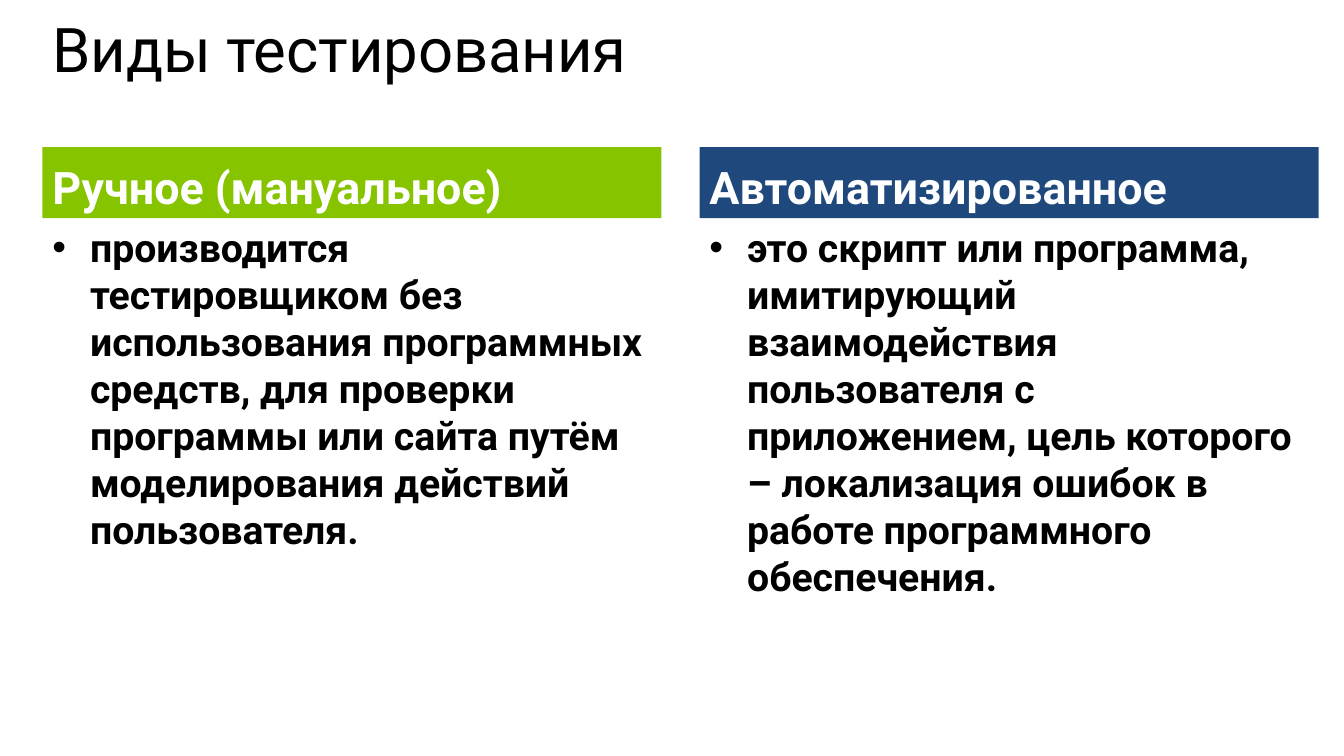
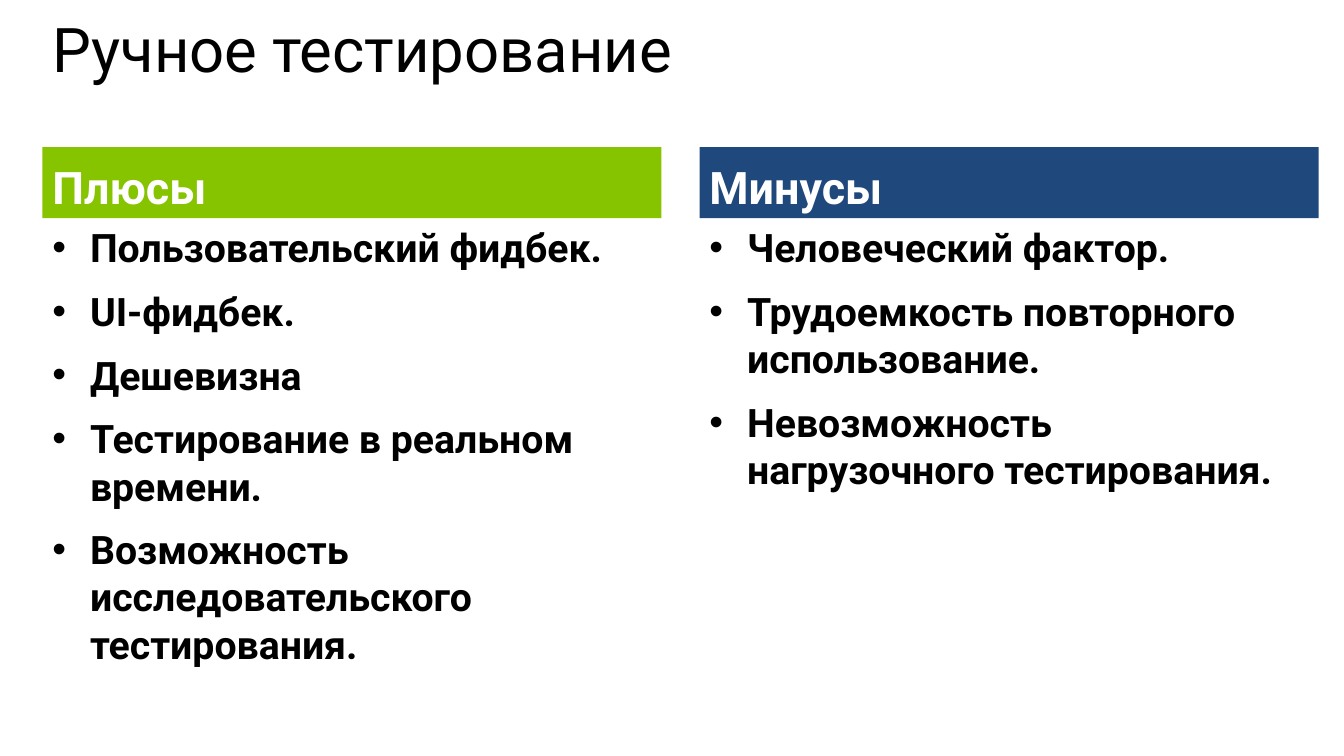
"""Builds two comparison slides about software testing."""
import pptx
import pptx.dml.color
import pptx.enum.shapes
import pptx.enum.text
import pptx.oxml
import pptx.util

Cm = pptx.util.Cm
Pt = pptx.util.Pt
Anchor = pptx.enum.text.MSO_ANCHOR

COLOURS = {"green": "86C400", "blue": "1F497D", "white": "FFFFFF", "black": "000000"}
FONT = "Roboto"
LEFT = 1.07
COLUMN_WIDTH = 15.6
COLUMN_STEP = 16.56
HEADING_TOP = 3.71
HEADING_HEIGHT = 1.79
BODY_HEIGHT = 12.9
BULLET_INDENT = Cm(0.95)

TITLE = {"font": {"size": Pt(44), "bold": False}, "colour": "black",
         "paragraph": {"line_spacing": 0.8}}
HEADING = {"font": {"size": Pt(32), "bold": True}, "colour": "white",
           "paragraph": {"space_before": Pt(12)}}
BODY = {"font": {"size": Pt(28), "bold": True}, "colour": "black",
        "paragraph": {"space_before": Pt(12)}}

SLIDES = [
    ("Виды тестирования", [
        ("Ручное (мануальное)", [
            "производится тестировщиком без использования программных средств, "
            "для проверки программы или сайта путём моделирования действий пользователя.",
        ]),
        ("Автоматизированное", [
            "это скрипт или программа, имитирующий взаимодействия пользователя "
            "с приложением, цель которого – локализация ошибок в работе "
            "программного обеспечения.",
        ]),
    ]),
    ("Ручное тестирование", [
        ("Плюсы", [
            "Пользовательский фидбек.",
            "UI-фидбек.",
            "Дешевизна",
            "Тестирование в реальном времени.",
            "Возможность исследовательского тестирования.",
        ]),
        ("Минусы", [
            "Человеческий фактор.",
            "Трудоемкость повторного использование.",
            "Невозможность нагрузочного тестирования.",
        ]),
    ]),
]


def set_attributes(target, values):
    """Set every named value on the target."""
    for name, value in values.items():
        setattr(target, name, value)


def add_bullet(paragraph):
    """Give the paragraph a hanging bullet."""
    properties = paragraph._p.get_or_add_pPr()
    properties.set("marL", str(BULLET_INDENT))
    properties.set("indent", str(-BULLET_INDENT))
    for tag, name, value in (("buFont", "typeface", "Arial"), ("buChar", "char", "•")):
        bullet = pptx.oxml.xmlchemy.OxmlElement(f"a:{tag}")
        bullet.set(name, value)
        properties.append(bullet)


def write_text(shape, lines, style, anchor=Anchor.TOP, bulleted=False):
    """Fill the shape with one styled paragraph per line."""
    frame = shape.text_frame
    set_attributes(frame, {"word_wrap": True, "vertical_anchor": anchor,
                           "text": "\n".join(lines)})
    for paragraph in frame.paragraphs:
        set_attributes(paragraph, {"alignment": pptx.enum.text.PP_ALIGN.LEFT,
                                   **style["paragraph"]})
        font = paragraph.runs[0].font
        set_attributes(font, {"name": FONT, **style["font"]})
        font.color.rgb = pptx.dml.color.RGBColor.from_string(COLOURS[style["colour"]])
        if bulleted:
            add_bullet(paragraph)


def add_title(slide, text):
    """Add the slide title."""
    box = slide.shapes.add_textbox(Cm(LEFT), Cm(0.51), Cm(32), Cm(2.95))
    write_text(box, [text], TITLE)


def add_heading(slide, left, text, colour):
    """Add the coloured band above a column."""
    band = slide.shapes.add_shape(
        pptx.enum.shapes.MSO_SHAPE.RECTANGLE,
        Cm(left), Cm(HEADING_TOP), Cm(COLUMN_WIDTH), Cm(HEADING_HEIGHT))
    band.shadow.inherit = False
    band.fill.solid()
    band.fill.fore_color.rgb = pptx.dml.color.RGBColor.from_string(COLOURS[colour])
    band.line.fill.background()
    write_text(band, [text], HEADING, anchor=Anchor.BOTTOM)


def add_bullet_list(slide, left, lines):
    """Add the bulleted text under a heading."""
    box = slide.shapes.add_textbox(
        Cm(left), Cm(HEADING_TOP + HEADING_HEIGHT), Cm(COLUMN_WIDTH), Cm(BODY_HEIGHT))
    write_text(box, lines, BODY, bulleted=True)


def add_comparison_slide(presentation, title, columns):
    """Add a titled slide with two columns side by side."""
    slide = presentation.slides.add_slide(presentation.slide_layouts[6])
    for index, ((heading, lines), colour) in enumerate(zip(columns, ("green", "blue"))):
        left = LEFT + index * COLUMN_STEP
        add_heading(slide, left, heading, colour)
        add_bullet_list(slide, left, lines)
    add_title(slide, title)


def main():
    """Build and save the presentation."""
    presentation = pptx.Presentation()
    set_attributes(presentation, {"slide_width": Cm(33.87), "slide_height": Cm(19.05)})
    for title, columns in SLIDES:
        add_comparison_slide(presentation, title, columns)
    presentation.save("out.pptx")


if __name__ == "__main__":
    main()
